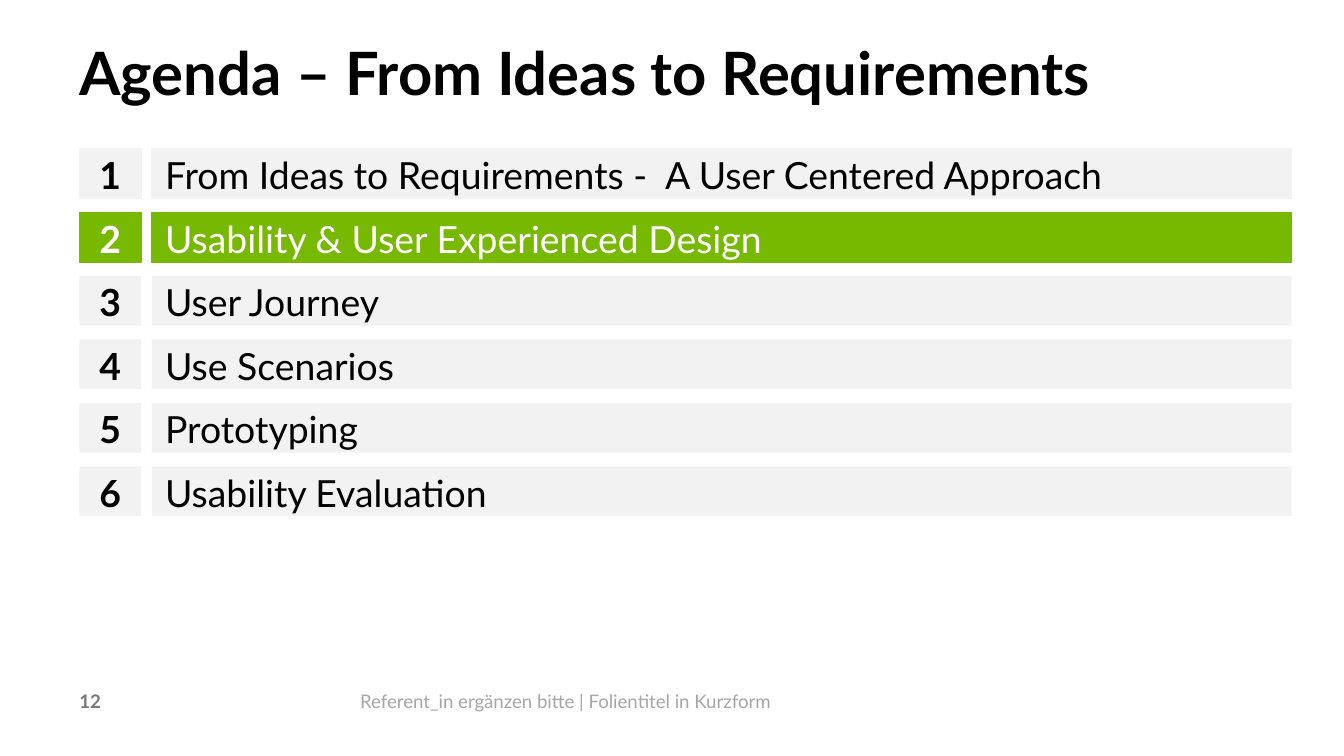
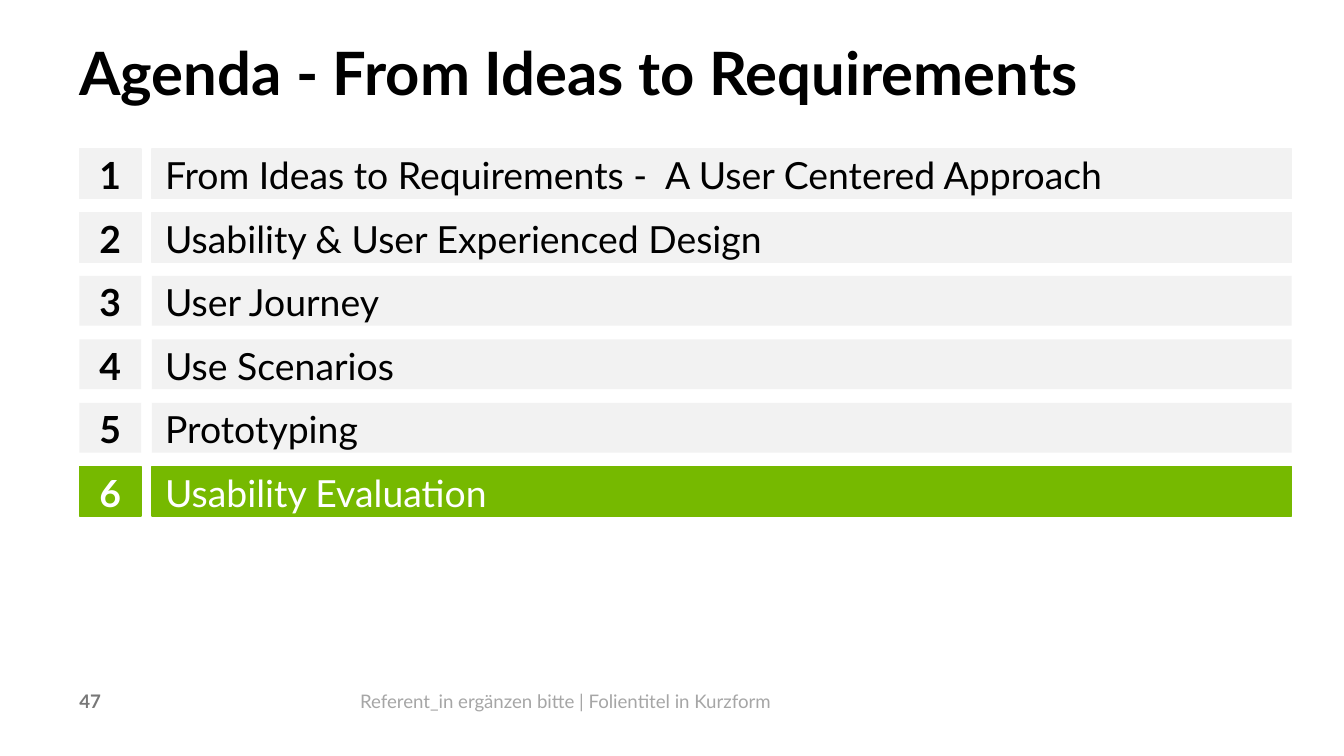
from dataclasses import dataclass

from pptx import Presentation
from pptx import util as u
from pptx.dml.color import RGBColor
from pptx.enum import shapes, text
from pptx.slide import Slide
from pptx.text.text import TextFrame

BLACK = RGBColor(0x00, 0x00, 0x00)
WHITE = RGBColor(0xFF, 0xFF, 0xFF)
GREEN = RGBColor(0x76, 0xB9, 0x00)
PALE = RGBColor(0xF2, 0xF2, 0xF2)
GREY = RGBColor(0x78, 0x78, 0x78)
SILVER = RGBColor(0xA6, 0xA6, 0xA6)

FONT = "Lato"
WIDE = 10
HIGH = WIDE * 9 / 16
LEFT = 0.59
FIRST, LAST = 1.11, 3.47
FOOTER = "Referent_in ergänzen bitte | Folientitel in Kurzform"
TOPICS = (
    "From Ideas to Requirements -  A User Centered Approach",
    "Usability & User Experienced Design",
    "User Journey",
    "Use Scenarios",
    "Prototyping",
    "Usability Evaluation",
)
PITCH = (LAST - FIRST) / (len(TOPICS) - 1)
EDGED = (1, 2)


@dataclass(frozen=True)
class Box:
    left: float
    top: float
    width: float
    height: float

    def place(self) -> tuple[u.Length, ...]:
        return tuple(map(u.Inches, (self.left, self.top, self.width, self.height)))


@dataclass(frozen=True)
class Style:
    size: float
    color: RGBColor
    bold: bool = False
    lead: float | None = None
    after: float | None = None
    align: text.PP_ALIGN = text.PP_ALIGN.LEFT


@dataclass(frozen=True)
class Agenda:
    title: str
    number: int
    active: int


TITLE = Box(LEFT, 0.33, 8.23, 0.49)
PAGE = Box(LEFT, 5.13, 1.89, 0.2)
NOTE = Box(2.68, 5.13, 6, 0.2)

AGENDAS = (
    Agenda("Agenda – From Ideas to Requirements", 12, 2),
    Agenda("Agenda - From Ideas to Requirements", 47, 6),
)


def write(frame: TextFrame, words: str, style: Style) -> None:
    frame.word_wrap = True
    para = frame.paragraphs[0]
    para.alignment = style.align
    if style.lead is not None:
        para.line_spacing = u.Pt(style.lead)
    if style.after is not None:
        para.space_after = u.Pt(style.after)
    run = para.add_run()
    run.text = words
    run.font.name = FONT
    run.font.size = u.Pt(style.size)
    run.font.bold = style.bold
    run.font.color.rgb = style.color


def strip(frame: TextFrame) -> None:
    frame.margin_left = frame.margin_right = 0
    frame.margin_top = frame.margin_bottom = 0
    frame.vertical_anchor = text.MSO_ANCHOR.TOP


def head(slide: Slide, words: str) -> None:
    title = slide.shapes.title
    title.left, title.top, title.width, title.height = TITLE.place()
    strip(title.text_frame)
    write(title.text_frame, words, Style(32, BLACK, True, lead=34))
    title.text_frame.auto_size = text.MSO_AUTO_SIZE.SHAPE_TO_FIT_TEXT


def label(slide: Slide, box: Box, words: str, style: Style) -> None:
    frame = slide.shapes.add_textbox(*box.place()).text_frame
    strip(frame)
    write(frame, words, style)


def bar(slide: Slide, box: Box, words: str, fill: RGBColor, edge: bool, style: Style) -> None:
    shape = slide.shapes.add_shape(shapes.MSO_SHAPE.RECTANGLE, *box.place())
    shape.shadow.inherit = False
    shape.fill.solid()
    shape.fill.fore_color.rgb = fill
    if edge:
        shape.line.color.rgb = fill
        shape.line.width = u.Pt(0.75)
    else:
        shape.line.fill.background()
    shape.text_frame.vertical_anchor = text.MSO_ANCHOR.MIDDLE
    write(shape.text_frame, words, style)


def row(slide: Slide, rank: int, topic: str, active: bool) -> None:
    top = FIRST + (rank - 1) * PITCH
    fill, ink = (GREEN, WHITE) if active else (PALE, BLACK)
    edge = active or rank in EDGED
    digit = Style(20, ink, True, 25, 5.5, text.PP_ALIGN.CENTER)
    bar(slide, Box(LEFT, top, 0.46, 0.37), str(rank), fill, edge, digit)
    bar(slide, Box(1.13, top, 8.48, 0.37), topic, fill, edge, Style(20, ink, False, 25, 5.5))


def main() -> None:
    deck = Presentation()
    deck.slide_width, deck.slide_height = u.Inches(WIDE), u.Inches(HIGH)
    for agenda in AGENDAS:
        slide = deck.slides.add_slide(deck.slide_layouts.get_by_name("Title Only"))
        head(slide, agenda.title)
        for rank, topic in enumerate(TOPICS, 1):
            row(slide, rank, topic, rank == agenda.active)
        label(slide, PAGE, str(agenda.number), Style(10, GREY, True))
        label(slide, NOTE, FOOTER, Style(10, SILVER))
    deck.save("out.pptx")


if __name__ == "__main__":
    main()
